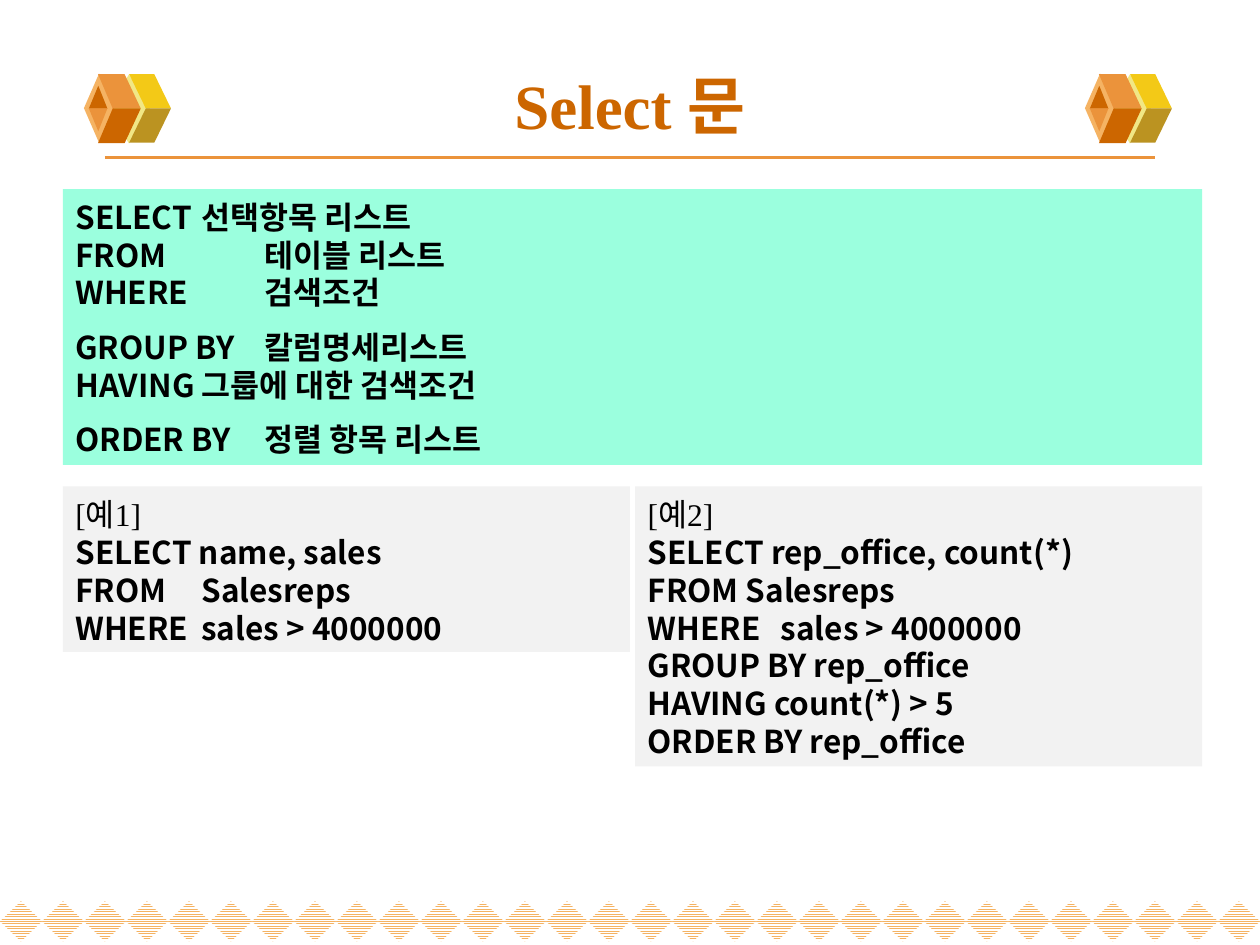
from pptx import Presentation, util as u
from pptx.dml.color import RGBColor
from pptx.enum import dml, shapes, text

Pt = u.Pt

# Content: (line, space before in points)
TITLE = "Select 문"
SYNTAX = [
    ("SELECT\t선택항목 리스트", 0),
    ("FROM\t\t테이블 리스트", 0),
    ("WHERE\t\t검색조건", 0),
    ("GROUP BY\t칼럼명세리스트", 9.6),
    ("HAVING\t그룹에 대한 검색조건", 0),
    ("ORDER BY\t정렬 항목 리스트", 9.6),
]
EXAMPLES = [
    ("[예1]", 94.5, ["SELECT name, sales", "FROM\tSalesreps",
                     "WHERE\tsales > 4000000"]),
    ("[예2]", 160, ["SELECT rep_office, count(*)", "FROM Salesreps",
                    "WHERE\t sales > 4000000", "GROUP BY rep_office",
                    "HAVING count(*) > 5", "ORDER BY rep_office"]),
]

THEME = {
    "serif": "Times New Roman", "sans": "Noto Sans CJK KR",
    "title_size": 36, "body_size": 18, "line_pitch": 21.6,
    "title": "CC6600", "ink": "000000", "rule": "EB933B",
    "syntax": "9BFFDE", "example": "F2F2F2",
    "stripe": "F5B363", "paper": "FFFFFF",
}

# Cube faces, back to front: (colour, corners); None marks a preset diamond
CUBE = [
    ("F1E785", None, (13.7, 0.5, 24, 39.5)),
    ("F3C917", [(35.3, 20), (49.7, 20), (40.2, 0.4), (25.8, 0.4)], None),
    ("BB9321", [(35.3, 20), (49.7, 20), (40.2, 39.5), (25.8, 39.5)], None),
    ("F5B363", None, (0, 0, 17.3, 39.6)),
    ("EB933B", [(16.4, 20), (32.4, 20), (23.2, 0.4), (8, 0.4)], None),
    ("CC6600", [(16.4, 20), (32.4, 20), (23.2, 39.8), (8, 39.8)], None),
    ("CC6600", [(8.2, 7), (2.8, 20), (13.4, 20)], None),
    ("EB933B", [(8.2, 33), (2.8, 20), (13.4, 20)], None),
]
CUBE_TOP, CUBE_LEFTS = 42, (48, 620)
MARGIN, PANEL_WIDTH, COLUMN_WIDTH, COLUMN_STEP = 36, 651, 324, 327
DIAMONDS, DIAMOND_PITCH, DIAMOND_TOP, DIAMOND_HEIGHT = 30, 24, 515, 23


def color(name):
    return RGBColor.from_string(THEME.get(name, name))


def finish(shape, fill):
    shape.shadow.inherit = False
    shape.line.fill.background()
    shape.fill.solid()
    shape.fill.fore_color.rgb = color(fill)


def add_preset(page, kind, left, top, width, height, fill):
    shape = page.shapes.add_shape(kind, Pt(left), Pt(top), Pt(width), Pt(height))
    finish(shape, fill)
    return shape


def add_cube(page, left):
    for fill, corners, frame in CUBE:
        if frame:
            x, y, width, height = frame
            add_preset(page, shapes.MSO_SHAPE.DIAMOND, left + x, CUBE_TOP + y,
                       width, height, fill)
            continue
        points = [(Pt(left + x), Pt(CUBE_TOP + y)) for x, y in corners]
        outline = page.shapes.build_freeform(*points[0])
        outline.add_line_segments(points[1:], close=True)
        finish(outline.convert_to_shape(), fill)


def style(paragraph, face, size, ink, bold):
    font = paragraph.font
    font.name, font.size, font.bold = face, Pt(size), bold
    font.color.rgb = color(ink)


def add_panel(page, left, top, width, height, fill, lines):
    """lines: (wording, space before, typeface, bold)"""
    panel = add_preset(page, shapes.MSO_SHAPE.RECTANGLE,
                       left, top, width, height, fill)
    frame = panel.text_frame
    frame.word_wrap = True
    frame.vertical_anchor = text.MSO_ANCHOR.TOP
    frame.margin_top = Pt(5)
    for index, (wording, gap, face, bold) in enumerate(lines):
        para = frame.add_paragraph() if index else frame.paragraphs[0]
        para.text = wording
        para.alignment = text.PP_ALIGN.LEFT
        para.line_spacing = Pt(THEME["line_pitch"])
        para.space_before = Pt(gap)
        style(para, THEME[face], THEME["body_size"], "ink", bold)


def main():
    deck = Presentation()
    deck.slide_width, deck.slide_height = Pt(720), Pt(540)
    page = deck.slides.add_slide(deck.slide_layouts[6])

    # Striped diamond border
    for index in range(DIAMONDS):
        diamond = add_preset(page, shapes.MSO_SHAPE.DIAMOND,
                             index * DIAMOND_PITCH, DIAMOND_TOP,
                             DIAMOND_PITCH, DIAMOND_HEIGHT, "paper")
        diamond.fill.patterned()
        diamond.fill.pattern = dml.MSO_PATTERN.NARROW_HORIZONTAL
        diamond.fill.fore_color.rgb = color("stripe")
        diamond.fill.back_color.rgb = color("paper")

    # Heading rule and cubes
    rule = page.shapes.add_connector(shapes.MSO_CONNECTOR.STRAIGHT,
                                     Pt(60), Pt(90), Pt(660), Pt(90))
    rule.line.color.rgb = color("rule")
    rule.line.width = Pt(2.25)
    properties = rule._element.spPr
    properties.append(properties.makeelement(
        "{http://schemas.openxmlformats.org/drawingml/2006/main}effectLst", {}))
    for left in CUBE_LEFTS:
        add_cube(page, left)

    # Title
    box = page.shapes.add_textbox(Pt(MARGIN), Pt(32.4), Pt(648), Pt(54.7))
    box.text_frame.word_wrap = True
    box.text_frame.vertical_anchor = text.MSO_ANCHOR.MIDDLE
    para = box.text_frame.paragraphs[0]
    para.text = TITLE
    para.alignment = text.PP_ALIGN.CENTER
    style(para, THEME["serif"], THEME["title_size"], "title", True)

    # Syntax panel
    add_panel(page, MARGIN, 108, PANEL_WIDTH, 157.7, "syntax",
              [(wording, gap, "sans", True) for wording, gap in SYNTAX])

    # Example panels
    for index, (label, height, code) in enumerate(EXAMPLES):
        lines = [(label, 0, "serif", False)]
        lines += [(wording, 0, "sans", True) for wording in code]
        add_panel(page, MARGIN + index * COLUMN_STEP, 278, COLUMN_WIDTH,
                  height, "example", lines)

    deck.save("out.pptx")


if __name__ == "__main__":
    main()
